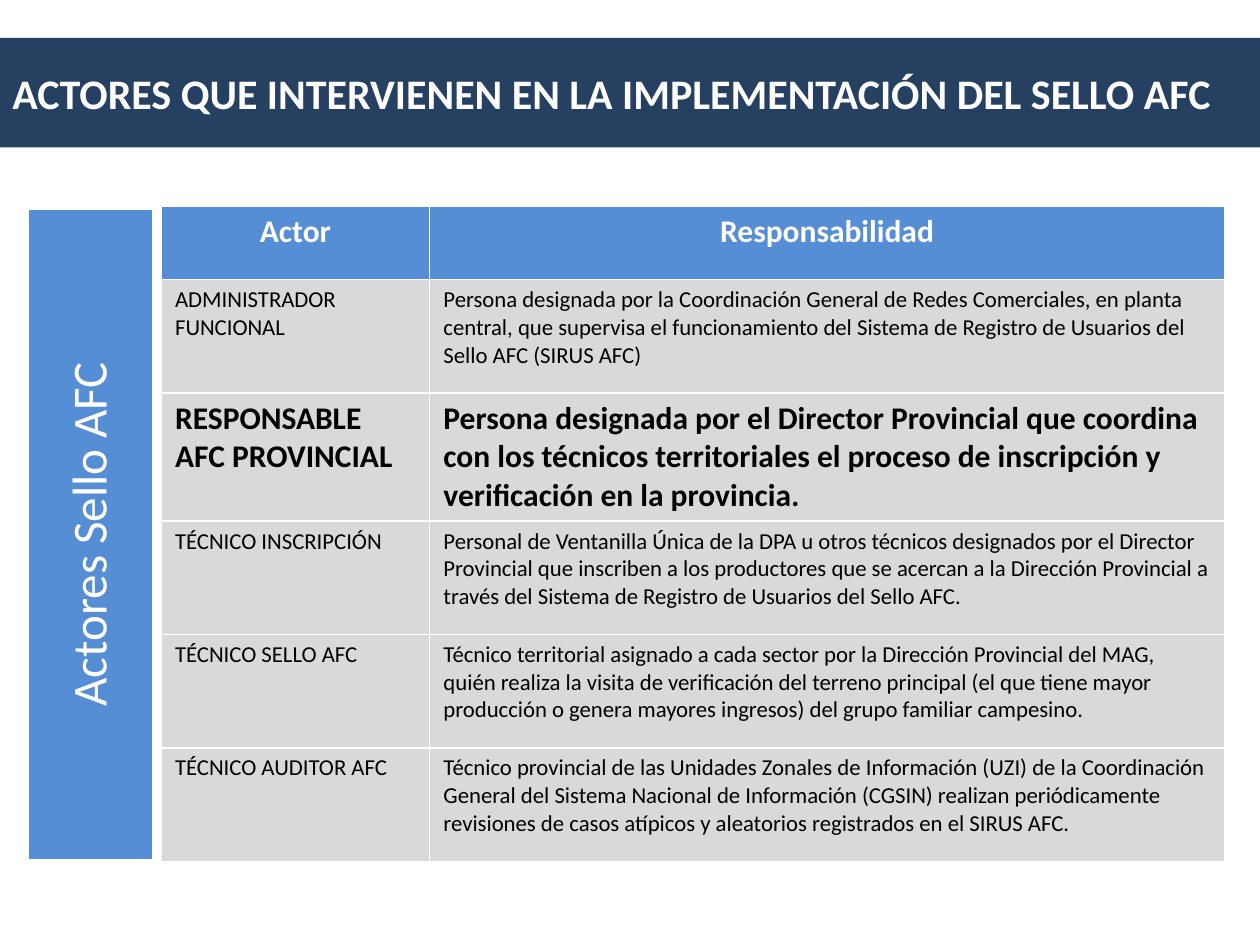
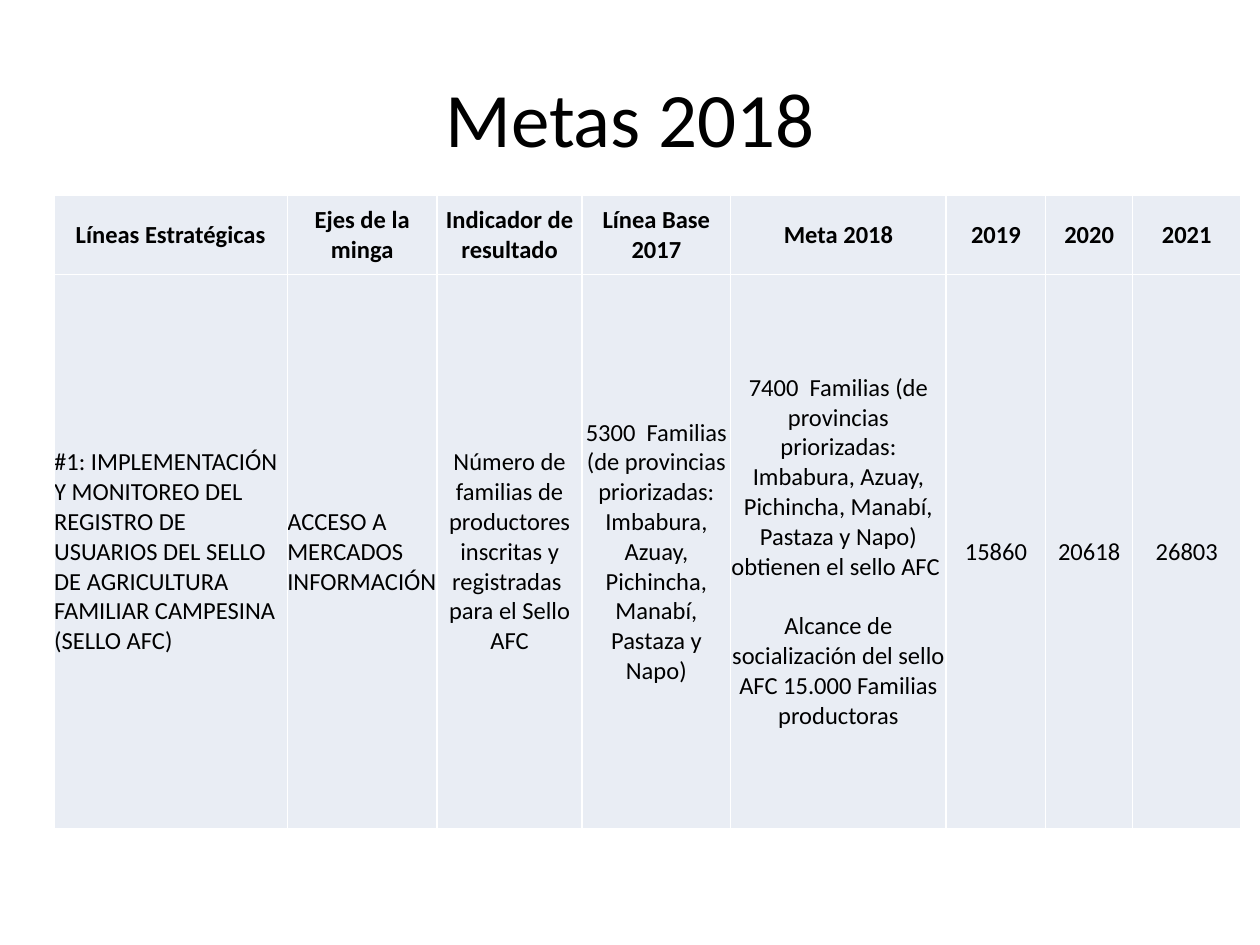
from lxml.etree import SubElement
from pptx import Presentation
from pptx.dml.color import RGBColor
from pptx.enum.shapes import MSO_SHAPE
from pptx.enum.text import MSO_ANCHOR, PP_ALIGN
from pptx.oxml.ns import qn
from pptx.util import Inches, Pt

FONT = "Calibri"
WHITE = RGBColor(0xFF, 0xFF, 0xFF)
BLACK = RGBColor(0, 0, 0)
NAVY = RGBColor(0x25, 0x40, 0x61)
BLUE = RGBColor(0x55, 0x8E, 0xD5)
GREY = RGBColor(0xD9, 0xD9, 0xD9)
PALE_BLUE = RGBColor(0xE9, 0xED, 0xF4)

ACTORS = [
    ("ADMINISTRADOR FUNCIONAL",
     "Persona designada por la Coordinación General de Redes Comerciales, en planta central, "
     "que supervisa el funcionamiento del Sistema de Registro de Usuarios del Sello AFC (SIRUS AFC)"),
    ("RESPONSABLE AFC PROVINCIAL",
     "Persona designada por el Director Provincial que coordina con los técnicos territoriales "
     "el proceso de inscripción y verificación en la provincia."),
    ("TÉCNICO INSCRIPCIÓN",
     "Personal de Ventanilla Única de la DPA u otros técnicos designados por el Director Provincial "
     "que inscriben a los productores que se acercan a la Dirección Provincial a través del "
     "Sistema de Registro de Usuarios del Sello AFC."),
    ("TÉCNICO SELLO AFC",
     "Técnico territorial asignado a cada sector por la Dirección Provincial del MAG, quién realiza "
     "la visita de verificación del terreno principal (el que tiene mayor producción o genera "
     "mayores ingresos) del grupo familiar campesino."),
    ("TÉCNICO AUDITOR AFC",
     "Técnico provincial de las Unidades Zonales de Información (UZI) de la Coordinación General "
     "del Sistema Nacional de Información (CGSIN) realizan periódicamente revisiones de casos "
     "atípicos y aleatorios registrados en el SIRUS AFC."),
]
HIGHLIGHTED_ACTOR = "RESPONSABLE AFC PROVINCIAL"

GOAL_HEADERS = ["Líneas Estratégicas", "Ejes de la minga", "Indicador de resultado",
                "Línea Base 2017", "Meta 2018", "2019", "2020", "2021"]
PROVINCES = "Familias (de provincias priorizadas: Imbabura, Azuay, Pichincha, Manabí, Pastaza y Napo)"
GOALS = [
    ["#1: IMPLEMENTACIÓN Y MONITOREO DEL REGISTRO DE USUARIOS DEL SELLO DE AGRICULTURA "
     "FAMILIAR CAMPESINA (SELLO AFC)"],
    ["ACCESO A MERCADOS", "INFORMACIÓN"],
    ["Número de familias de productores inscritas y registradas ", "para el Sello AFC"],
    [f"5300  {PROVINCES}"],
    [f"7400  {PROVINCES} obtienen el sello AFC ",
     "Alcance de socialización del sello AFC 15.000 Familias productoras"],
    ["15860"], ["20618"], ["26803"],
]
META_COLUMN = GOAL_HEADERS.index("Meta 2018")


def write(frame, lines, size, color, bold=False, align=PP_ALIGN.LEFT, gap=0):
    """Write one paragraph per line, with gap points between paragraphs."""
    frame.word_wrap = True
    for index, line in enumerate(lines):
        para = frame.paragraphs[0] if index == 0 else frame.add_paragraph()
        para.alignment = align
        if index and gap:
            para.space_before = Pt(gap)
        span = para.add_run()
        span.text = line
        span.font.name = FONT
        span.font.size = Pt(size)
        span.font.bold = bold
        span.font.color.rgb = color


def add_panel(page, left, top, width, height, fill):
    panel = page.shapes.add_shape(MSO_SHAPE.RECTANGLE, Inches(left), Inches(top),
                                  Inches(width), Inches(height))
    panel.shadow.inherit = False
    panel.fill.solid()
    panel.fill.fore_color.rgb = fill
    panel.line.fill.background()
    panel.text_frame.vertical_anchor = MSO_ANCHOR.MIDDLE
    return panel


def add_sidebar(page, text):
    """Add a panel that reads from bottom to top."""
    panel = add_panel(page, -1.87, 3.74, 5.18, 1, BLUE)
    panel.rotation = 270
    panel.line.color.rgb = WHITE
    panel.line.width = Pt(2)
    write(panel.text_frame, [text], 28, WHITE, align=PP_ALIGN.CENTER)
    panel.text_frame.paragraphs[0].line_spacing = 0.9


def add_grid(page, left, top, widths, heights):
    """Add a table without style bands and return it."""
    grid = page.shapes.add_table(len(heights), len(widths), Inches(left), Inches(top),
                                 Inches(sum(widths)), Inches(sum(heights))).table
    grid.first_row = grid.horz_banding = False
    for column, width in zip(grid.columns, widths):
        column.width = Inches(width)
    for row, height in zip(grid.rows, heights):
        row.height = Inches(height)
    return grid


def style_cell(cell, fill, margin_x, margin_y, anchor):
    """Set fill, margins and thin white borders."""
    properties = cell._tc.get_or_add_tcPr()
    for side in ("a:lnL", "a:lnR", "a:lnT", "a:lnB"):
        border = SubElement(properties, qn(side), w=str(Pt(1)))
        solid = SubElement(border, qn("a:solidFill"))
        SubElement(solid, qn("a:srgbClr"), val=str(WHITE))
    cell.fill.solid()
    cell.fill.fore_color.rgb = fill
    cell.margin_left = cell.margin_right = Inches(margin_x)
    cell.margin_top = cell.margin_bottom = Inches(margin_y)
    cell.vertical_anchor = anchor


def add_actors_table(page):
    grid = add_grid(page, 1.28, 1.64, [2.13, 6.31], [0.58, 0.9, 0.86, 0.9, 0.9, 0.9])
    for row, texts in enumerate([("Actor", "Responsabilidad"), *ACTORS]):
        header = row == 0
        strong = header or texts[0] == HIGHLIGHTED_ACTOR
        for column, text in enumerate(texts):
            cell = grid.cell(row, column)
            style_cell(cell, BLUE if header else GREY, 0.11, 0.05, MSO_ANCHOR.TOP)
            write(cell.text_frame, [text], 18 if strong else 13, WHITE if header else BLACK,
                  strong, PP_ALIGN.CENTER if header else PP_ALIGN.LEFT)


def add_goals_table(page):
    widths = [1.85, 1.19, 1.15, 1.18, 1.71, 0.79, 0.69, 0.86]
    grid = add_grid(page, 0.43, 1.55, widths, [0.63, 4.4])
    for row, contents in enumerate([[[header] for header in GOAL_HEADERS], GOALS]):
        for column, lines in enumerate(contents):
            cell = grid.cell(row, column)
            style_cell(cell, PALE_BLUE, 0, 0, MSO_ANCHOR.MIDDLE)
            left_aligned = row == 1 and column < 2
            write(cell.text_frame, lines, 14, BLACK, row == 0,
                  PP_ALIGN.LEFT if left_aligned else PP_ALIGN.CENTER,
                  17 if column == META_COLUMN else 0)


def add_page(deck):
    return deck.slides.add_slide(deck.slide_layouts[6])


def build_actors_page(deck):
    page = add_page(deck)
    add_sidebar(page, "Actores Sello AFC")
    add_actors_table(page)
    band = add_panel(page, 0, 0.3, 10, 0.87, NAVY)
    write(band.text_frame, ["ACTORES QUE INTERVIENEN EN LA IMPLEMENTACIÓN DEL SELLO AFC"],
          24, WHITE, bold=True)
    band.text_frame.paragraphs[0].space_before = Pt(5)


def build_goals_page(deck):
    page = add_page(deck)
    title = page.shapes.add_textbox(Inches(0.5), Inches(0.3), Inches(9), Inches(1.25))
    title.text_frame.vertical_anchor = MSO_ANCHOR.MIDDLE
    write(title.text_frame, ["Metas 2018"], 44, BLACK, align=PP_ALIGN.CENTER)
    add_goals_table(page)


def main():
    deck = Presentation()
    deck.slide_width, deck.slide_height = Inches(10), Inches(7.5)
    build_actors_page(deck)
    build_goals_page(deck)
    deck.save("out.pptx")


if __name__ == "__main__":
    main()
